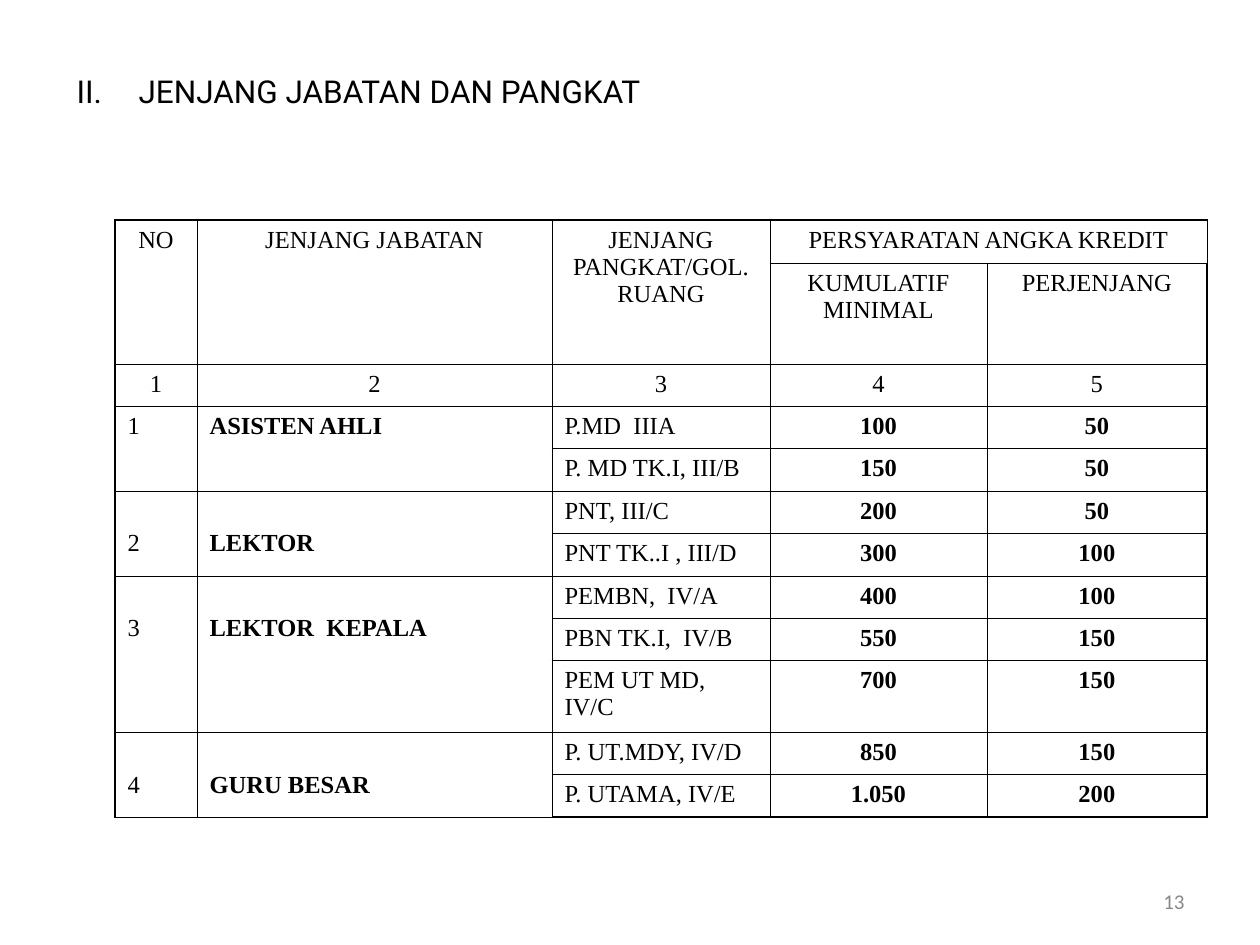
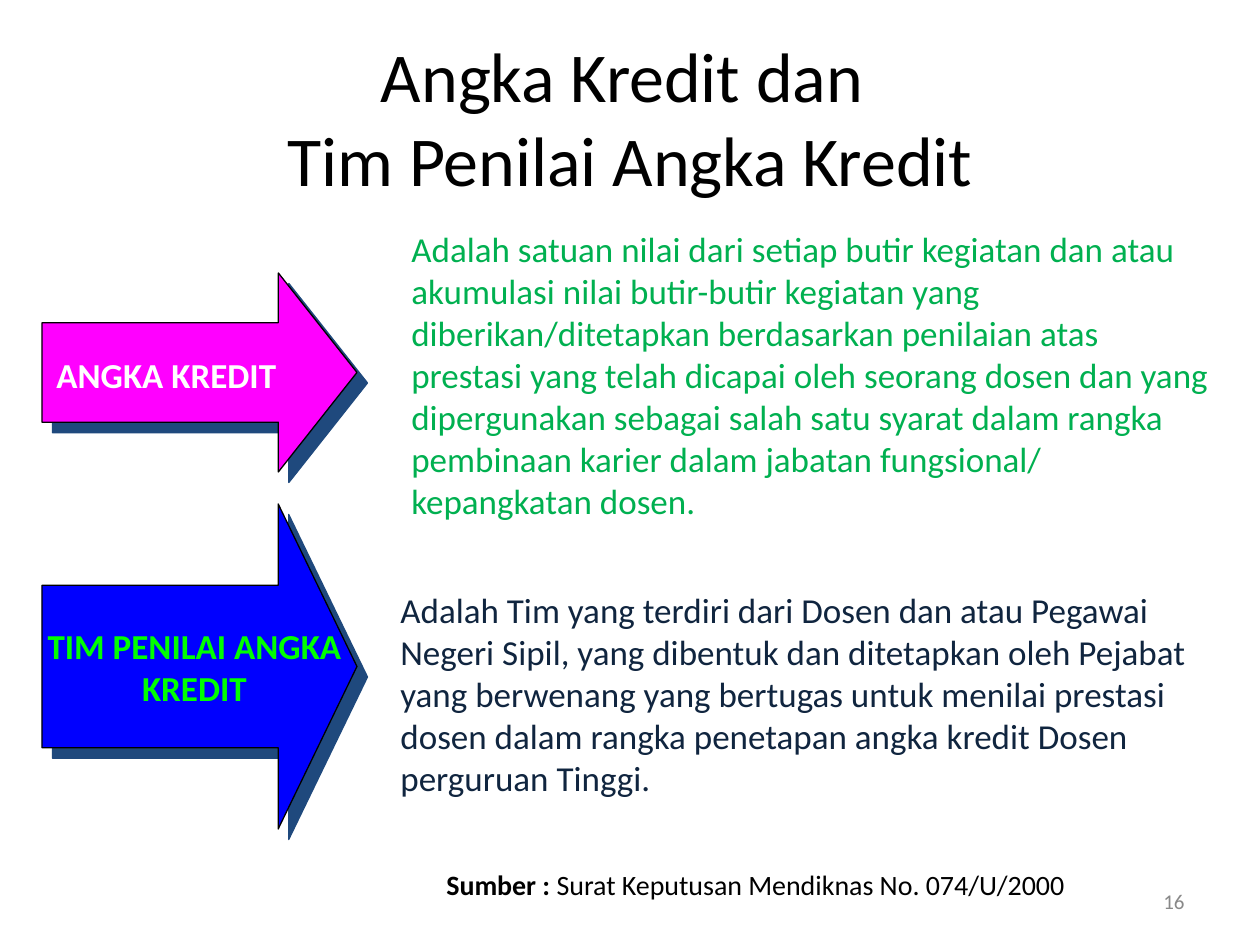
from itertools import pairwise

from lxml.etree import SubElement
from pptx import Presentation
from pptx.dml.color import RGBColor
from pptx.enum.shapes import MSO_SHAPE as SHAPE
from pptx.enum.text import MSO_ANCHOR as ANCHOR, MSO_AUTO_SIZE as AUTO, PP_ALIGN as ALIGN
from pptx.oxml.ns import qn
from pptx.util import Emu, Pt

# Content
HEADING = "II.\tJENJANG JABATAN DAN PANGKAT"
HEADER = ["NO", "JENJANG JABATAN", "JENJANG PANGKAT/GOL. RUANG", "PERSYARATAN ANGKA KREDIT"]
SUBHEADER = ["KUMULATIF MINIMAL", "PERJENJANG"]
POSITIONS = [
    ("ASISTEN AHLI", [("P.MD  IIIA", "100", "50"), ("P. MD TK.I, III/B", "150", "50")]),
    ("LEKTOR", [("PNT, III/C", "200", "50"), ("PNT TK..I , III/D", "300", "100")]),
    ("LEKTOR  KEPALA", [("PEMBN,  IV/A", "400", "100"), ("PBN TK.I,  IV/B", "550", "150"),
                        ("PEM UT MD, IV/C", "700", "150")]),
    ("GURU BESAR", [("P. UT.MDY, IV/D", "850", "150"), ("P. UTAMA, IV/E", "1.050", "200")]),
]
TITLE = "Angka Kredit dan \vTim Penilai Angka Kredit"
TERMS = [
    dict(label="ANGKA KREDIT", label_box=(44, 347, 347, 55), label_color="FFFFFF",
         align=ALIGN.LEFT, arrow=(42, 273, 315, 199), fill="FF00FF", head=0.395,
         text="Adalah satuan nilai dari setiap butir kegiatan dan atau akumulasi nilai "
              "butir-butir kegiatan yang diberikan/ditetapkan berdasarkan penilaian atas "
              "prestasi yang telah dicapai oleh seorang dosen dan yang dipergunakan sebagai "
              "salah satu syarat dalam rangka pembinaan karier dalam jabatan fungsional/ "
              "kepangkatan dosen.",
         text_box=(399, 221, 829, 349), text_color="00B050"),
    dict(label="TIM PENILAI ANGKA KREDIT", label_box=(21, 618, 347, 97), label_color="00FF00",
         align=ALIGN.CENTER, arrow=(42, 504, 315, 325), fill="0000FF", head=0.25,
         text="Adalah Tim yang terdiri dari Dosen dan atau Pegawai Negeri Sipil, yang "
              "dibentuk dan ditetapkan oleh Pejabat yang berwenang yang bertugas untuk "
              "menilai prestasi dosen dalam rangka penetapan angka kredit Dosen perguruan "
              "Tinggi.",
         text_box=(388, 582, 829, 265), text_color="10253F"),
]
SOURCE = ("Sumber :", " Surat Keputusan Mendiknas No. 074/U/2000")

# Layout in px, 126 to the inch
SCALE = 914400 / 126
SLIDE = (1260, 945)
NUMBER_BOX = (903, 876, 294, 50)
HEADING_BOX = (64, 66, 992, 50)
HEADING_TAB = 62
TITLE_BOX = (63, 38, 1134, 158)
SOURCE_BOX = (399, 861, 788, 47)
SOURCE_INDENT = 48
COL_LINES = [115, 197, 552, 770, 987, 1207]
ROW_LINES = [220, 263, 364, 406, 448, 491, 533, 576, 618, 660, 732, 774, 817]
LOWERED = 39  # top margin of the position names set one line down
SHADOW, BLACK, GREY = "1F497D", "000000", "898989"


def px(value):
    return Emu(round(value * SCALE))


def rgb(color):
    return RGBColor.from_string(color)


def sub(parent, tag, **attrs):
    return SubElement(parent, qn(tag), {k: str(v) for k, v in attrs.items()})


def format_run(r, size, color=BLACK, font="Calibri", bold=False):
    for name, value in dict(size=Pt(size), name=font, bold=bold).items():
        setattr(r.font, name, value)
    r.font.color.rgb = rgb(color)


def write(tf, text, size, align=ALIGN.LEFT, **fmt):
    """Fill a text frame with one paragraph and return it."""
    tf.text = text
    p = tf.paragraphs[0]
    p.alignment = align
    for r in p.runs:
        format_run(r, size, **fmt)
    return p


def add_text(shapes, box, text, size, anchor=ANCHOR.TOP, **fmt):
    tf = shapes.add_textbox(*map(px, box)).text_frame
    tf.word_wrap, tf.vertical_anchor = True, anchor
    return write(tf, text, size, **fmt)


def set_title(s, box, text, size, anchor, **fmt):
    sp = s.shapes.title
    sp.left, sp.top, sp.width, sp.height = map(px, box)
    tf = sp.text_frame
    tf.auto_size, tf.vertical_anchor = AUTO.NONE, anchor
    return write(tf, text, size, **fmt)


def add_slide(prs, number):
    s = prs.slides.add_slide(prs.slide_layouts[5])
    add_text(s.shapes, NUMBER_BOX, number, 12, ANCHOR.MIDDLE, align=ALIGN.RIGHT, color=GREY)
    return s


def add_shadow(effects, distance):
    shadow = sub(effects, "a:outerShdw", dist=Pt(distance), dir=45 * 60000,
                 algn="ctr", rotWithShape=0)
    sub(shadow, "a:srgbClr", val=SHADOW)


def set_borders(cell, row, col):
    """Thin inner lines, heavier lines along the outer edge of the table."""
    outer = dict(L=col == 0, R=col == len(COL_LINES) - 2,
                 T=row == 0, B=row == len(ROW_LINES) - 2)
    for side, heavy in outer.items():
        ln = sub(cell._tc.get_or_add_tcPr(), f"a:ln{side}", w=Pt(1.08 if heavy else 0.45))
        sub(sub(ln, "a:solidFill"), "a:srgbClr", val=BLACK)


def add_rank_table(s):
    widths = [b - a for a, b in pairwise(COL_LINES)]
    heights = [b - a for a, b in pairwise(ROW_LINES)]
    box = COL_LINES[0], ROW_LINES[0], sum(widths), sum(heights)
    table = s.shapes.add_table(len(heights), len(widths), *map(px, box)).table
    table.first_row = table.horz_banding = False
    for col, width in zip(table.columns, widths):
        col.width = px(width)
    for row, height in zip(table.rows, heights):
        row.height = px(height)
    for i in range(len(heights)):
        for j in range(len(widths)):
            cell = table.cell(i, j)
            set_borders(cell, i, j)
            cell.fill.background()

    def put(row, col, text, rows=1, cols=1, align=ALIGN.CENTER, bold=False):
        cell = table.cell(row, col)
        if rows * cols > 1:
            cell.merge(table.cell(row + rows - 1, col + cols - 1))
        write(cell.text_frame, text, 14, align, font="Times New Roman", bold=bold)
        return cell

    for col, text in enumerate(HEADER):
        last = col == len(HEADER) - 1
        put(0, col, text, rows=1 if last else 2, cols=2 if last else 1)
    for col, text in enumerate(SUBHEADER, 3):
        put(1, col, text)
    for col in range(len(widths)):
        put(2, col, str(col + 1))
    row = 3
    for number, (position, ranks) in enumerate(POSITIONS, 1):
        for col, text in enumerate((str(number), position)):
            cell = put(row, col, text, rows=len(ranks), align=ALIGN.LEFT, bold=col == 1)
            if number > 1:
                cell.margin_top = px(LOWERED)
        for rank, *credits in ranks:
            put(row, 2, rank, align=ALIGN.LEFT)
            for col, credit in enumerate(credits, 3):
                put(row, col, credit, bold=True)
            row += 1


def add_term(s, term):
    """Arrow with its label, and the explanation to its right."""
    shapes = s.shapes.add_group_shape().shapes
    arrow = shapes.add_shape(SHAPE.RIGHT_ARROW, *map(px, term["arrow"]))
    arrow.adjustments[0], arrow.adjustments[1] = 0.5, term["head"]
    arrow.fill.solid()
    arrow.fill.fore_color.rgb = rgb(term["fill"])
    arrow.line.color.rgb = rgb(BLACK)
    arrow.line.width = Pt(0.75)
    arrow.shadow.inherit = False
    add_shadow(arrow._element.spPr.find(qn("a:effectLst")), 8.5)
    p = add_text(shapes, term["label_box"], term["label"], 20, align=term["align"],
                 color=term["label_color"], bold=True)
    rPr = p.runs[0]._r.get_or_add_rPr()
    effects = sub(rPr, "a:effectLst")
    add_shadow(effects, 2)
    rPr.find(qn("a:solidFill")).addnext(effects)
    add_text(s.shapes, term["text_box"], term["text"], 20, color=term["text_color"])


def add_source(s):
    name, reference = SOURCE
    left, top, width, height = SOURCE_BOX
    indent = SOURCE_INDENT - 13
    box = left + indent, top, width - indent, height
    p = add_text(s.shapes, box, name, 16, bold=True)
    r = p.add_run()
    r.text = reference
    format_run(r, 16)


def main():
    prs = Presentation()
    prs.slide_width, prs.slide_height = map(px, SLIDE)

    s = add_slide(prs, "13")
    p = set_title(s, HEADING_BOX, HEADING, 18, ANCHOR.TOP, font="Roboto")
    sub(sub(p._p.get_or_add_pPr(), "a:tabLst"), "a:tab", pos=px(HEADING_TAB), algn="l")
    add_rank_table(s)

    s = add_slide(prs, "16")
    set_title(s, TITLE_BOX, TITLE, 40, ANCHOR.MIDDLE, align=ALIGN.CENTER)
    for term in TERMS:
        add_term(s, term)
    add_source(s)

    prs.save("out.pptx")


if __name__ == "__main__":
    main()
